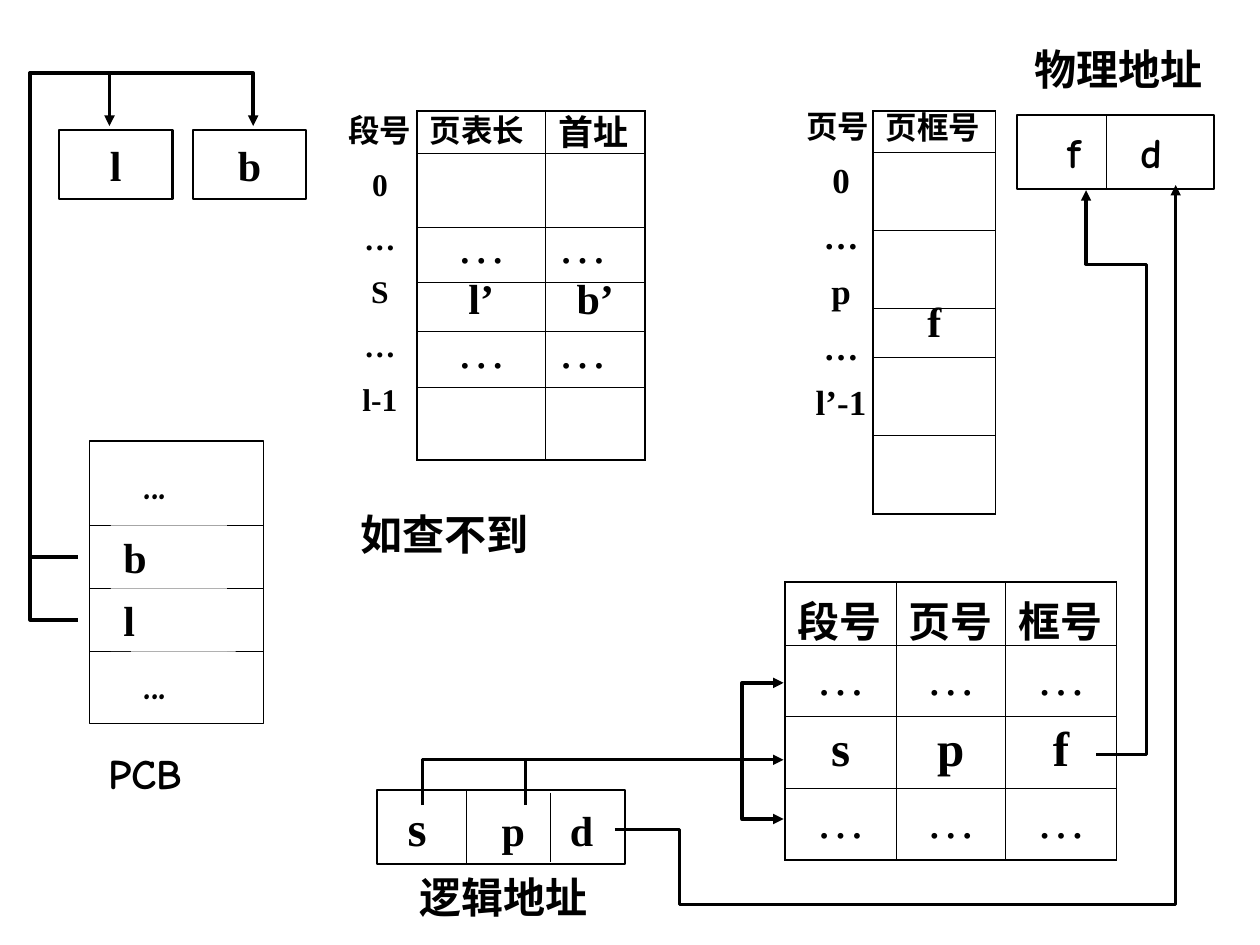
from dataclasses import dataclass

from lxml import etree
from pptx import Presentation
from pptx.dml.color import RGBColor
from pptx.enum.shapes import MSO_CONNECTOR as Link, MSO_SHAPE as Preset
from pptx.enum.text import MSO_ANCHOR as Anchor, MSO_AUTO_SIZE as Fit, PP_ALIGN as Align
from pptx.oxml.ns import qn
from pptx.util import Pt


@dataclass(frozen=True)
class Theme:
    ink: RGBColor = RGBColor(0, 0, 0)
    paper: RGBColor = RGBColor(255, 255, 255)
    serif: str = "Times New Roman"
    sans: str = "Cabin"
    comic: str = "Comic Neue"
    small: float = 18
    medium: float = 20
    large: float = 24
    huge: float = 28
    thin: float = 0.75
    frame: float = 1.25
    flow: float = 1.75
    bold_flow: float = 2
    cell_inner: float = 0.45
    cell_outer: float = 1.08


T = Theme()

# ---- Content: places are left, top, width, height in points ----
REGISTERS = [("l", (33.8, 74.2, 64.8, 39.6)), ("b", (110.2, 74.2, 64.8, 39.6))]

PCB_FRAME = (51.1, 252, 99.4, 161.3)
PCB_FIRST_LINE, PCB_STEP = 300.2, 36
PCB_FIELDS = [  # text, left, top, width, font
    ("b", 63.4, 300.2, 66.2, T.serif),
    ("l", 63.4, 336.2, 66.2, T.serif),
    ("...", 74.9, 257.8, 59.8, T.comic),
    ("...", 74.9, 372.2, 59.8, T.comic),
]

CAPTIONS = [  # text, left, top, width, font
    ("PCB", 54.7, 423.4, 72, T.comic),
    ("物理地址", 583.9, 21.6, 124.6, T.serif),
    ("逻辑地址", 232.6, 494.6, 120.2, T.serif),
    ("如查不到", 198.7, 287.3, 136.1, T.sans),
]

ADDRESSES = [  # fields: text, centre from the text edge, font, size
    dict(at=(581, 65.5, 113, 42.5), dividers=[(632.2, 65.5, 108.7)],
         fields=[("f", 26, T.comic, T.large), ("d", 70, T.comic, T.large)]),
    dict(at=(215.3, 451.4, 141.8, 42.5),
         dividers=[(266.4, 451.4, 493.9), (314.6, 452.9, 492.5)],
         fields=[("s", 16, T.serif, T.huge), ("p", 71, T.serif, T.large),
                 ("d", 110, T.serif, T.large)]),
]

INDEXES = [
    dict(at=(190.1, 62.6, 54, 180), head="段号", head_font=T.serif,
         head_format=dict(alignment=Align.CENTER, line_spacing=0.9),
         rows=["0", "…", "S", "…", "l-1"], size=T.small, spacing=0.9, before=11.2),
    dict(at=(453.6, 57.6, 54, 187.9), head="页号", head_font=T.sans,
         head_format=dict(alignment=Align.LEFT),
         rows=["0", "…", "p", "…", "l’-1"], size=T.medium, spacing=0.8, before=12.5),
]

TABLES = [
    dict(origin=(238.3, 63.4), cols=[73.4, 56.9],
         rows=[24.5, 41.8, 31.7, 28.1, 31.7, 41.8],
         cells=[["页表长", "首址"], ["", ""], ["…", "…"], ["l’", "b’"],
                ["…", "…"], ["", ""]],
         head_sizes=[T.small, T.medium], size=T.large, spacing=0.7, left_dots={1}),
    dict(origin=(499, 63.4), cols=[69.8],
         rows=[23.8, 44.6, 44.6, 28.1, 44.6, 44.6],
         cells=[["页框号"], [""], [""], ["f"], [""], [""]],
         head_sizes=[T.small], size=T.large, spacing=0.6, left_dots=set()),
    dict(origin=(448.6, 332.6), cols=[63.4, 62.6, 63.4],
         rows=[36, 41, 41, 41],
         cells=[["段号", "页号", "框号"], ["…"] * 3, ["s", "p", "f"], ["…"] * 3],
         head_sizes=[T.large] * 3, size=T.huge, spacing=1.0, left_dots=set()),
]

FLOWS = [  # points, width, arrowheads
    ([(44.6, 318.2), (17.3, 318.2), (17.3, 41.8), (144.7, 41.8), (144.7, 72)],
     T.bold_flow, ["tailEnd"]),
    ([(44.6, 354.2), (17.3, 354.2), (17.3, 41.8), (62.6, 41.8), (62.6, 72)],
     T.bold_flow, ["tailEnd"]),
    ([(447.8, 390.2), (424.1, 390.2), (424.1, 468), (447.8, 468)],
     T.bold_flow, ["headEnd", "tailEnd"]),
    ([(241.2, 460.1), (241.2, 434.2), (447.8, 434.2)], T.flow, ["tailEnd"]),
    ([(626.4, 431.4), (655.2, 431.4), (655.2, 151), (620.6, 151), (620.6, 108.7)],
     T.flow, ["tailEnd"]),
    ([(351.4, 473.8), (388.1, 473.8), (388.1, 517), (671.8, 517), (671.8, 105.8)],
     T.flow, ["tailEnd"]),
]
SEGMENT_PAGE_LINK = ((300.2, 460.1), (300.2, 434.2))


# ---- Helpers ----
def assign(target, **values):
    for key, value in values.items():
        setattr(target, key, value)


def points(values):
    return [Pt(value) for value in values]


def write(paragraph, text, font, size, bold=True, **layout):
    assign(paragraph, **layout)
    run = paragraph.add_run()
    run.text = text
    assign(run.font, name=font, size=Pt(size), bold=bold)
    run.font.color.rgb = T.ink


def stroke(shape, width):
    shape.line.color.rgb = T.ink
    shape.line.width = Pt(width)


def box(at, line_width=None):
    rect = shapes.add_shape(Preset.RECTANGLE, *points(at))
    rect.shadow.inherit = False
    rect.fill.solid()
    rect.fill.fore_color.rgb = T.paper
    if line_width:
        stroke(rect, line_width)
    else:
        rect.line.fill.background()
    return rect


def line(start, end, width):
    link = shapes.add_connector(Link.STRAIGHT, *points(start + end))
    stroke(link, width)
    etree.SubElement(link._element.spPr, qn("a:effectLst"))


def flow(route, width, heads):
    corners = [tuple(points(corner)) for corner in route]
    builder = shapes.build_freeform(*corners[0], scale=1.0)
    builder.add_line_segments(corners[1:], close=False)
    arrow = builder.convert_to_shape()
    arrow.shadow.inherit = False
    arrow.fill.background()
    stroke(arrow, width)
    outline = arrow._element.spPr.find(qn("a:ln"))
    for head in heads:
        etree.SubElement(outline, qn("a:" + head), type="triangle")


def label(shape, text, font):
    frame = shape.text_frame
    assign(frame, word_wrap=True, auto_size=Fit.SHAPE_TO_FIT_TEXT,
           vertical_anchor=Anchor.TOP)
    write(frame.paragraphs[0], text, font, T.large, alignment=Align.LEFT)


def border(cell, edges):
    properties = cell._tc.get_or_add_tcPr()
    for place, (side, outer) in enumerate(edges.items()):
        width = T.cell_outer if outer else T.cell_inner
        edge = etree.Element(qn("a:ln" + side), w=str(Pt(width)))
        fill = etree.SubElement(edge, qn("a:solidFill"))
        etree.SubElement(fill, qn("a:srgbClr"), val=str(T.ink))
        properties.insert(place, edge)


def grid(origin, cols, rows, cells, head_sizes, size, spacing, left_dots):
    at = points((*origin, sum(cols), sum(rows)))
    table = shapes.add_table(len(rows), len(cols), *at).table
    assign(table, first_row=False, horz_banding=False)
    for column, width in zip(table.columns, cols):
        column.width = Pt(width)
    for r, (texts, height) in enumerate(zip(cells, rows)):
        table.rows[r].height = Pt(height)
        for c, text in enumerate(texts):
            cell = table.cell(r, c)
            cell.fill.background()
            border(cell, {"L": c == 0, "R": c == len(cols) - 1,
                          "T": r == 0, "B": r == len(rows) - 1})
            if not text:
                continue
            dots = text == "…"
            left = r == 0 or (dots and c in left_dots)
            text_size = head_sizes[c] if r == 0 else T.huge if dots else size
            write(cell.text_frame.paragraphs[0], text, T.serif if r else T.sans,
                  text_size, not dots, line_spacing=spacing,
                  alignment=Align.LEFT if left else Align.CENTER)


deck = Presentation()
assign(deck, slide_width=Pt(720), slide_height=Pt(540))
shapes = deck.slides.add_slide(deck.slide_layouts[6]).shapes

# Registers and process control block
for name, at in REGISTERS:
    frame = box(at, T.frame).text_frame
    assign(frame, word_wrap=False, vertical_anchor=Anchor.MIDDLE)
    write(frame.paragraphs[0], name, T.serif, T.large, alignment=Align.CENTER)
box(PCB_FRAME, T.thin)
for step in range(3):
    y = PCB_FIRST_LINE + step * PCB_STEP
    line((PCB_FRAME[0], y), (PCB_FRAME[0] + PCB_FRAME[2], y), T.thin)
for text, left, top, width, font in PCB_FIELDS:
    label(box((left, top, width, PCB_STEP)), text, font)

# Captions
for text, left, top, width, font in CAPTIONS:
    label(shapes.add_textbox(*points((left, top, width, 36))), text, font)

# Physical and logical address, with fields on centred tabs
for address in ADDRESSES:
    frame = box(address["at"], T.frame).text_frame
    assign(frame, word_wrap=True, vertical_anchor=Anchor.MIDDLE)
    fields = frame.paragraphs[0]
    tabs = etree.SubElement(fields._p.get_or_add_pPr(), qn("a:tabLst"))
    for text, centre, font, size in address["fields"]:
        etree.SubElement(tabs, qn("a:tab"), pos=str(Pt(centre)), algn="ctr")
        write(fields, "\t" + text, font, size, alignment=Align.LEFT)
    for x, top, bottom in address["dividers"]:
        line((x, top), (x, bottom), T.thin)

# Segment, page and associative tables with their row numbers
for table_content in TABLES:
    grid(**table_content)
for index in INDEXES:
    frame = shapes.add_textbox(*points(index["at"])).text_frame
    frame.word_wrap = True
    write(frame.paragraphs[0], index["head"], index["head_font"], T.small,
          **index["head_format"])
    for text in index["rows"]:
        write(frame.add_paragraph(), text, T.serif, index["size"],
              alignment=Align.CENTER, line_spacing=index["spacing"],
              space_before=Pt(index["before"]))

# Lookup arrows
for route, width, heads in FLOWS:
    flow(route, width, heads)
line(*SEGMENT_PAGE_LINK, T.flow)

deck.save("out.pptx")
